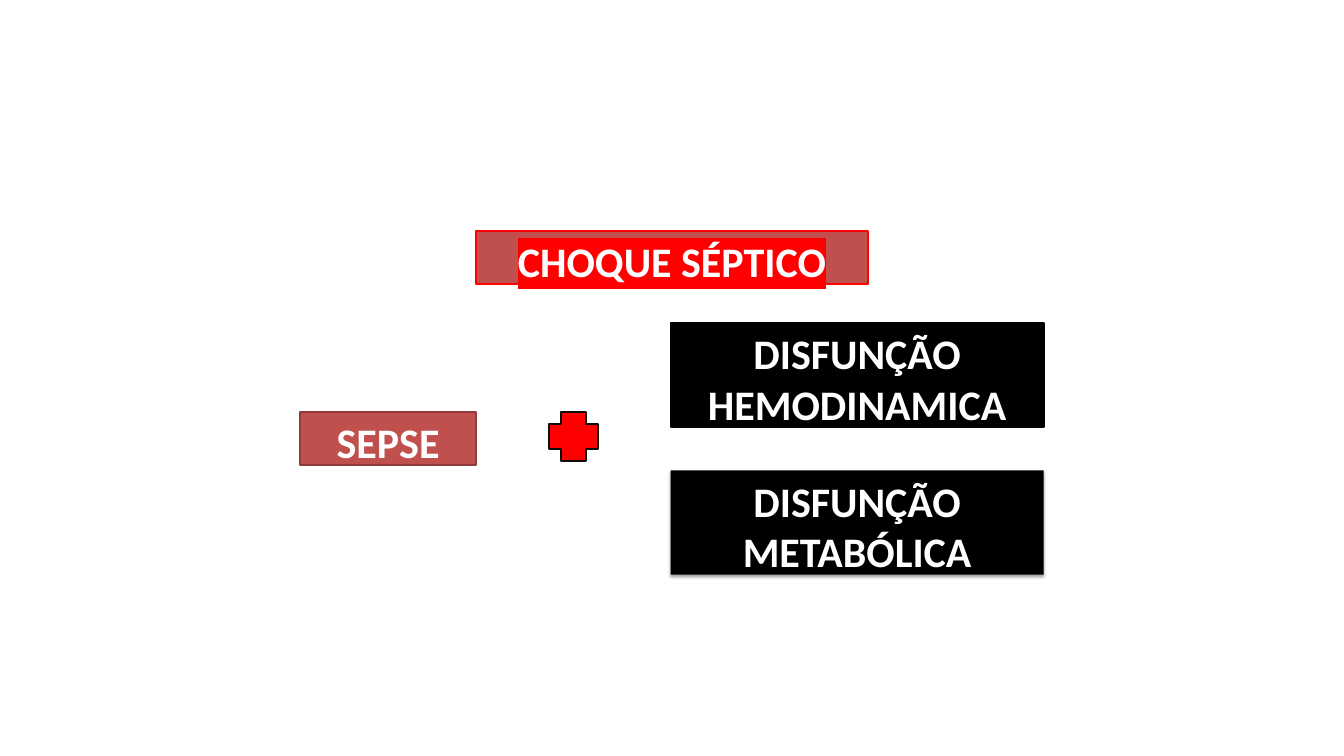
from lxml import etree
from pptx import Presentation
from pptx.dml.color import RGBColor
from pptx.enum.shapes import MSO_SHAPE as Shape
from pptx.enum.text import MSO_ANCHOR as Anchor, PP_ALIGN as Align
from pptx.oxml import parse_xml
from pptx.oxml.ns import nsdecls, qn
from pptx.util import Inches, Pt

RED = RGBColor(0xFF, 0x00, 0x00)
BRICK = RGBColor(0xC0, 0x50, 0x4D)
DARK_BRICK = RGBColor(0x8E, 0x3B, 0x39)
BLACK = RGBColor(0x00, 0x00, 0x00)
NEAR_BLACK = RGBColor(0x0D, 0x0D, 0x0D)
WHITE = RGBColor(0xFF, 0xFF, 0xFF)

CELL = Inches(0.25)  # the slide is 80 columns by 45 rows
COLUMNS, ROWS = 80, 45


class Diagram:
    font_name = "Calibri"
    font_size = Pt(45)
    line_width = Pt(2)

    def __init__(self, slide):
        self.slide = slide

    def shape(self, kind, column, row, columns, rows, fill, line=None):
        shape = self.slide.shapes.add_shape(
            kind, *(round(cells * CELL) for cells in (column, row, columns, rows)))
        shape.shadow.inherit = False
        shape.fill.solid()
        shape.fill.fore_color.rgb = fill
        if line is None:
            shape.line.fill.background()
        else:
            shape.line.color.rgb = line
            shape.line.width = self.line_width
        return shape

    def label(self, text, column, row, columns, rows, fill, line=None, highlight=None):
        box = self.shape(Shape.RECTANGLE, column, row, columns, rows, fill, line)
        frame = box.text_frame
        frame.word_wrap = True
        frame.vertical_anchor = Anchor.TOP
        frame.margin_left = frame.margin_right = frame.margin_bottom = 0
        frame.margin_top = Inches(0.07)
        para = frame.paragraphs[0]
        para.alignment = Align.CENTER
        span = para.add_run()
        span.text = text
        font = para.font
        font.name, font.size, font.bold = self.font_name, self.font_size, True
        font.color.rgb = WHITE
        if highlight is not None:
            mark = etree.SubElement(span.font._element, qn("a:highlight"))
            etree.SubElement(mark, qn("a:srgbClr"), val=str(highlight))
        return box

    def plus(self, column, row, size):
        cross = self.shape(Shape.CROSS, column, row, size, size, RED, NEAR_BLACK)
        cross.adjustments[0] = 0.25

    def drop_shadow(self, box):
        effects = box._element.spPr.find(qn("a:effectLst"))
        effects.append(parse_xml(
            f'<a:outerShdw {nsdecls("a")} blurRad="{Pt(3.1)}" dist="{Pt(1.8)}" '
            f'dir="5400000" rotWithShape="0"><a:srgbClr val="{BLACK}">'
            '<a:alpha val="35000"/></a:srgbClr></a:outerShdw>'))


def main():
    deck = Presentation()
    deck.slide_width, deck.slide_height = COLUMNS * CELL, ROWS * CELL
    diagram = Diagram(deck.slides.add_slide(deck.slide_layouts[6]))

    one_line, two_lines = 3.16, 6.2
    sepsis_row = 24.52
    dysfunction_column, dysfunction_width = 39.92, 22.2

    diagram.label("CHOQUE SÉPTICO", 28.32, 13.76, 23.36, one_line, BRICK, RED, highlight=RED)
    diagram.label("SEPSE", 17.88, sepsis_row, 10.44, one_line, BRICK, DARK_BRICK)
    diagram.label("DISFUNÇÃO HEMODINAMICA", dysfunction_column, 19.24,
                  dysfunction_width, two_lines, BLACK, BLACK)
    metabolic = diagram.label("DISFUNÇÃO METABÓLICA", dysfunction_column, 28,
                              dysfunction_width, two_lines, BLACK)
    diagram.drop_shadow(metabolic)
    diagram.plus(32.68, sepsis_row, 2.92)

    deck.save("out.pptx")


if __name__ == "__main__":
    main()
